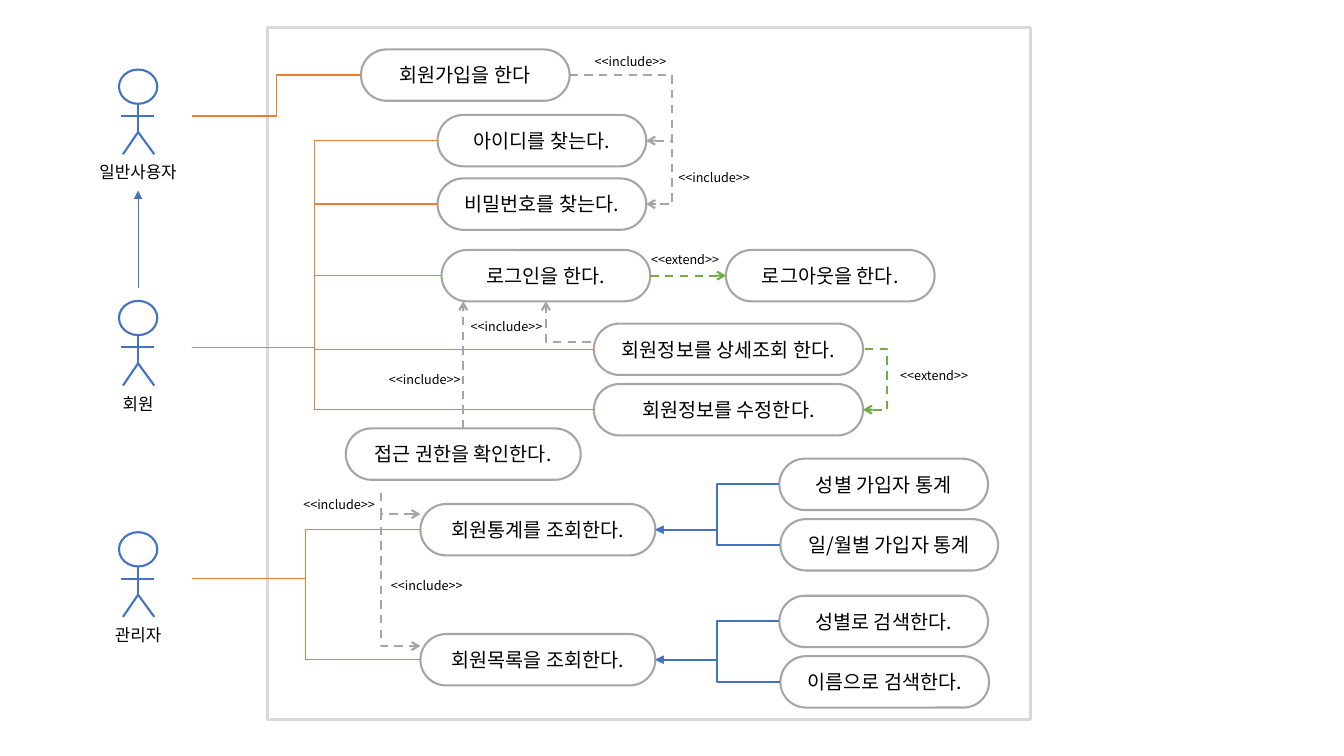
import lxml.etree
import pptx
import pptx.dml.color
import pptx.enum.dml
import pptx.enum.shapes
import pptx.enum.text
import pptx.oxml.ns
import pptx.util

RGB = pptx.dml.color.RGBColor
SHAPE = pptx.enum.shapes.MSO_SHAPE
STRAIGHT = pptx.enum.shapes.MSO_CONNECTOR.STRAIGHT
ELBOW = pptx.enum.shapes.MSO_CONNECTOR.ELBOW
CENTER = pptx.enum.text.PP_ALIGN.CENTER
LEFT_ALIGN = pptx.enum.text.PP_ALIGN.LEFT

WHITE = RGB(0xFF, 0xFF, 0xFF)
BLACK = RGB(0x00, 0x00, 0x00)
BLUE = RGB(0x44, 0x72, 0xC4)
ORANGE = RGB(0xED, 0x7D, 0x31)
GREEN = RGB(0x70, 0xAD, 0x47)
GRAY = RGB(0xA5, 0xA5, 0xA5)
CASE_EDGE = RGB(0xA6, 0xA6, 0xA6)
FRAME_EDGE = RGB(0xD9, 0xD9, 0xD9)
FONT = "Noto Sans CJK KR"

# The slide is a grid of 75 rows; cells are square.
SLIDE_W, SLIDE_H = pptx.util.Inches(13.33), pptx.util.Inches(7.5)
CELL = SLIDE_H / 75
TOP, LEFT, BOTTOM, RIGHT = range(4)

SYSTEM_BOX = (26.5, 2.7, 75.7, 68.7)
ACTOR_BOX = (8.4, 6.9, 10.6, 11.7)
ACTOR_STEP = 22.95
ARM_ROW = 4.6
ACTORS = ["일반사용자", "회원", "관리자"]
CASE_H = 5.1

# Use case: text, column, row and width inside the system box
CASES = {
    "join": ("회원가입을 한다", 9.3, 2.2, 20.7),
    "find_id": ("아이디를 찾는다.", 16.9, 8.7, 20.7),
    "find_password": ("비밀번호를 찾는다.", 16.9, 15, 20.7),
    "login": ("로그인을 한다.", 17.3, 22.1, 20.7),
    "logout": ("로그아웃을 한다.", 45.5, 22.1, 20.7),
    "detail": ("회원정보를 상세조회 한다.", 32.4, 29.4, 26.7),
    "edit": ("회원정보를 수정한다.", 32.4, 35.4, 26.7),
    "access": ("접근 권한을 확인한다.", 7.8, 39.8, 23.3),
    "stats": ("회원통계를 조회한다.", 15.2, 47.3, 23.3),
    "members": ("회원목록을 조회한다.", 15.2, 60.2, 23.3),
    "stats_gender": ("성별 가입자 통계", 50.8, 42.8, 20.7),
    "stats_date": ("일/월별 가입자 통계", 50.9, 48.8, 21.6),
    "search_gender": ("성별로 검색한다.", 50.8, 56.4, 20.7),
    "search_name": ("이름으로 검색한다.", 50.9, 62.4, 20.7),
}
LABELS = {
    "<<include>>": [(31.5, 2.2), (39.8, 13.7), (19.2, 28.4), (11.1, 33.7),
                    (2.6, 46.1), (11.3, 54.1)],
    "<<extend>>": [(37.1, 21.8), (61.8, 33.3)],
}
# Actor number, column of the bend on the slide, use cases reached
ASSOCIATIONS = [
    (0, 27.4, ["join"]),
    (1, 31.2, ["find_id", "find_password", "login", "detail", "edit"]),
    (2, 30.3, ["stats", "members"]),
]
GENERALIZATIONS = {"stats": ["stats_gender", "stats_date"],
                   "members": ["search_gender", "search_name"]}

ASSOCIATION = {"color": ORANGE, "width": 1}
GENERALIZATION = {"color": BLUE, "width": 1.5, "arrow": "triangle"}
INCLUDE = {"color": GRAY, "width": 1.5, "arrow": "arrow", "dash": True}
EXTEND = {**INCLUDE, "color": GREEN}


def emu(cells):
    return round(cells * CELL)


def add_tag(parent, tag, **attributes):
    return lxml.etree.SubElement(parent, pptx.oxml.ns.qn(tag), attributes)


def write(shape, text, size, align=CENTER):
    paragraph = shape.text_frame.paragraphs[0]
    paragraph.alignment = align
    run = paragraph.add_run()
    run.text = text
    for name, value in {"size": pptx.util.Pt(size), "name": FONT}.items():
        setattr(run.font, name, value)
    run.font.color.rgb = BLACK
    add_tag(run.font._element, "a:ea", typeface=FONT)


def add_outline(shapes, kind, box, edge, width, fill=None):
    shape = shapes.add_shape(kind, *map(emu, box))
    shape.shadow.inherit = False
    if fill is None:
        shape.fill.background()
    else:
        shape.fill.solid()
        shape.fill.fore_color.rgb = fill
    shape.line.color.rgb = edge
    shape.line.width = pptx.util.Pt(width)
    return shape


def add_label(shapes, text, box, size, align):
    label = shapes.add_textbox(*map(emu, box))
    settings = {"word_wrap": False,
                "auto_size": pptx.enum.text.MSO_AUTO_SIZE.SHAPE_TO_FIT_TEXT}
    for name, value in settings.items():
        setattr(label.text_frame, name, value)
    write(label, text, size, align)


def link(shapes, start, end, color, width, arrow=None, dash=False, bend=None, corner=False):
    """Join two grid points; bend is the column of the upright part, corner a single turn."""
    kind = ELBOW if corner or bend is not None else STRAIGHT
    line = shapes.add_connector(kind, *map(emu, (*start, *end)))
    line.line.color.rgb = color
    line.line.width = pptx.util.Pt(width)
    if dash:
        line.line.dash_style = pptx.enum.dml.MSO_LINE.DASH
    if arrow:
        add_tag(line.line._ln, "a:tailEnd", type=arrow)
    properties = line._element.spPr
    add_tag(properties, "a:effectLst")
    geometry = properties.find(pptx.oxml.ns.qn("a:prstGeom"))
    if corner:
        geometry.set("prst", "bentConnector2")
    elif bend is not None:
        share = round((bend - start[0]) / (end[0] - start[0]) * 100000)
        add_tag(geometry.find(pptx.oxml.ns.qn("a:avLst")), "a:gd",
                name="adj1", fmla=f"val {share}")
    return line


def side(shape, which):
    """Grid point at the middle of one side."""
    across, down = [(0.5, 0), (0, 0.5), (0.5, 1), (1, 0.5)][which]
    return ((shape.left + across * shape.width) / CELL,
            (shape.top + down * shape.height) / CELL)


def draw_actor(slide, name, box):
    """Draw a stick figure and return the point where its associations start."""
    left, top, width, height = box
    middle = left + width / 2
    figure = slide.shapes.add_group_shape().shapes
    add_outline(figure, SHAPE.OVAL, (middle - 1.9, top, 3.8, 3.4), BLUE, 1.5)
    hip = (middle, top + 6.2)
    limbs = [((middle, top + 3.4), hip),
             ((middle - 1.7, top + ARM_ROW), (middle + 1.6, top + ARM_ROW)),
             (hip, (middle - 1.5, top + 8.4)),
             (hip, (middle + 1.6, top + 8.4))]
    for start, end in limbs:
        link(figure, start, end, BLUE, 1.5)
    add_label(figure, name, (left, top + height - 3, width, 3), 12, CENTER)
    return left + width, top + ARM_ROW


def draw_system(slide, box):
    """Draw the frame with its use cases and labels; return the use cases by key."""
    left, top = box[:2]
    add_outline(slide.shapes, SHAPE.RECTANGLE, box, FRAME_EDGE, 2.25, WHITE)
    cases = {}
    for key, (text, column, row, width) in CASES.items():
        case = add_outline(slide.shapes, SHAPE.ROUNDED_RECTANGLE,
                           (left + column, top + row, width, CASE_H), CASE_EDGE, 1.5, WHITE)
        case.adjustments[0] = 0.5
        case.text_frame.vertical_anchor = pptx.enum.text.MSO_ANCHOR.MIDDLE
        write(case, text, 14)
        cases[key] = case
    for text, places in LABELS.items():
        for column, row in places:
            add_label(slide.shapes, text, (left + column, top + row, 9.7, 2.5), 9, LEFT_ALIGN)
    return cases


def draw_relations(slide, cases, ports, box):
    """Link actors to use cases, and use cases to each other."""
    shapes = slide.shapes
    left, top = box[:2]
    for actor, bend, keys in ASSOCIATIONS:
        for key in keys:
            link(shapes, ports[actor], side(cases[key], LEFT), bend=bend, **ASSOCIATION)
    for parent, children in GENERALIZATIONS.items():
        for child in children:
            link(shapes, side(cases[child], LEFT), side(cases[parent], RIGHT),
                 bend=left + 44.6, **GENERALIZATION)
    for key in ("find_id", "find_password"):
        link(shapes, side(cases["join"], RIGHT), side(cases[key], RIGHT),
             bend=left + 40.2, **INCLUDE)

    login, logout, access = cases["login"], cases["logout"], cases["access"]
    extend = link(shapes, side(login, RIGHT), side(logout, LEFT), **EXTEND)
    extend.begin_connect(login, RIGHT)
    extend.end_connect(logout, LEFT)
    detail_x, detail_y = side(cases["detail"], RIGHT)
    link(shapes, (detail_x + 0.2, detail_y), side(cases["edit"], RIGHT),
         bend=left + 61.5, **EXTEND)

    login_x, login_bottom = side(login, BOTTOM)
    link(shapes, (left + 32.1, top + 31.2), (login_x, login_bottom), corner=True, **INCLUDE)
    access_x, access_top = side(access, TOP)
    check = link(shapes, (access_x, access_top), (access_x, login_bottom), **INCLUDE)
    check.begin_connect(access, TOP)
    for start_row, end_row in ((46.2, 48.3), (48.1, 61.4)):
        link(shapes, (left + 11.3, top + start_row), (left + 15.2, top + end_row),
             bend=left + 11.3, **INCLUDE)


def main():
    deck = pptx.Presentation()
    deck.slide_width, deck.slide_height = SLIDE_W, SLIDE_H
    slide = deck.slides.add_slide(deck.slide_layouts[6])
    cases = draw_system(slide, SYSTEM_BOX)
    left, top, width, height = ACTOR_BOX
    ports = [draw_actor(slide, name, (left, top + i * ACTOR_STEP, width, height))
             for i, name in enumerate(ACTORS)]
    middle = left + width / 2
    link(slide.shapes, (middle, top + ACTOR_STEP - 1.3), (middle, top + height + 0.3),
         BLUE, 0.5, "triangle")
    draw_relations(slide, cases, ports, SYSTEM_BOX)
    deck.save("out.pptx")


if __name__ == "__main__":
    main()
